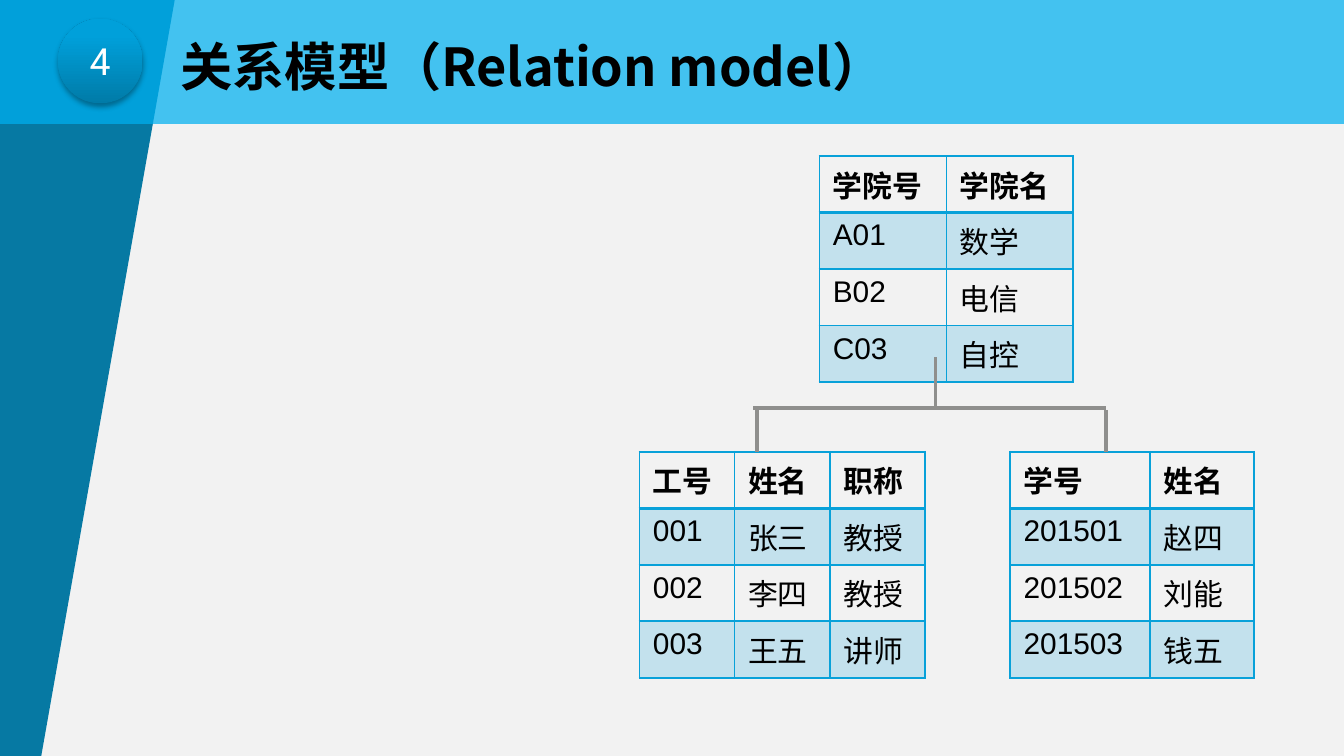
from lxml.etree import SubElement
from pptx import Presentation
from pptx.dml.color import RGBColor
from pptx.enum.shapes import MSO_CONNECTOR, MSO_SHAPE
from pptx.enum.text import MSO_ANCHOR, MSO_AUTO_SIZE, PP_ALIGN
from pptx.oxml import parse_xml
from pptx.oxml.ns import nsdecls, qn
from pptx.util import Pt

CJK = "Noto Sans CJK SC"


def paint(fill, color, props=None, alpha=100):
    fill.solid()
    fill.fore_color.rgb = RGBColor.from_string(color)
    if alpha < 100:
        clr = props.find(qn("a:solidFill")).find(qn("a:srgbClr"))
        SubElement(clr, qn("a:alpha"), val=str(alpha * 1000))


def write(p, text, font, size, color, bold=False):
    r = p.add_run()
    r.text = text
    p.font.name, p.font.size, p.font.bold = font, Pt(size), bold
    paint(p.font.fill, color)
    SubElement(r.font._element, qn("a:ea"), typeface=CJK)


prs = Presentation()
prs.slide_width, prs.slide_height = Pt(720), Pt(405)
s = prs.slides.add_slide(prs.slide_layouts[6])
paint(s.background.fill, "F2F2F2")

# Slanted side panel
fb = s.shapes.build_freeform(Pt(-0.7), Pt(407.5), scale=1.0)
fb.add_line_segments([(Pt(x), Pt(y)) for x, y in [(0, -0.7), (93.6, 0), (21.6, 408)]])
sp = fb.convert_to_shape()
sp.shadow.inherit = False
sp.line.fill.background()
paint(sp.fill, "0679A3")

# Translucent header band
sp = s.shapes.add_shape(MSO_SHAPE.RECTANGLE, Pt(-0.7), 0, Pt(720.7), Pt(66.4))
sp.shadow.inherit = False
sp.line.fill.background()
paint(sp.fill, "00B0F0", sp._element.spPr, 72)

# Tables: left, top, column widths, rows
tables = [
    (541.2, 242, [74.8, 55.8],
     ["学号 姓名", "201501 赵四", "201502 刘能", "201503 钱五"]),
    (342.6, 242, [51, 51, 51],
     ["工号 姓名 职称", "001 张三 教授", "002 李四 教授", "003 王五 讲师"]),
    (439, 83.5, [68, 68],
     ["学院号 学院名", "A01 数学", "B02 电信", "C03 自控"]),
]
for left, top, widths, rows in tables:
    table = s.shapes.add_table(len(rows), len(widths), Pt(left), Pt(top),
                               Pt(sum(widths)), Pt(106)).table
    table.first_row = table.horz_banding = False
    for col, width in zip(table.columns, widths):
        col.width = Pt(width)
    for i, row in enumerate(rows):
        for j, text in enumerate(row.split()):
            cell = table.cell(i, j)
            write(cell.text_frame.paragraphs[0], text, "Arial", 16, "000000", i == 0)
            # Borders, thicker under the header row
            tcPr = cell._tc.get_or_add_tcPr()
            for side in "LRTB":
                thick = (i, side) in [(0, "B"), (1, "T")]
                ln = SubElement(tcPr, qn("a:ln" + side), w=str(Pt(2 if thick else 1)))
                SubElement(SubElement(ln, qn("a:solidFill")), qn("a:srgbClr"), val="08A1D9")
            # Banding on odd rows
            if i % 2:
                paint(cell.fill, "08A1D9", tcPr, 20)
            else:
                cell.fill.background()

# Tree lines between the tables
for x1, y1, x2, y2 in [(501.2, 191.5, 501.2, 218.6), (405.4, 219.6, 405.4, 242),
                       (592.6, 219.6, 592.6, 242), (592.6, 218.6, 403.6, 218.6)]:
    c = s.shapes.add_connector(MSO_CONNECTOR.STRAIGHT, Pt(x1), Pt(y1), Pt(x2), Pt(y2))
    c.line.width = Pt(2)
    paint(c.line.fill, "8F8F8D")
    SubElement(c._element.spPr, qn("a:effectLst"))

# Title
tf = s.shapes.add_textbox(Pt(89.6), Pt(15), Pt(414), Pt(41)).text_frame
tf.word_wrap = True
tf.auto_size = MSO_AUTO_SIZE.SHAPE_TO_FIT_TEXT
write(tf.paragraphs[0], "关系模型（Relation model）", CJK, 28, "000000", True)

# Number badge with gradient and soft shadow
sp = s.shapes.add_shape(MSO_SHAPE.OVAL, Pt(31), Pt(10), Pt(45.4), Pt(45.4))
sp.line.fill.background()
sp.fill.gradient()
sp.fill.gradient_angle = 90
stops = sp._element.spPr.find(qn("a:gradFill")).find(qn("a:gsLst"))
for gs in list(stops):
    stops.remove(gs)
for pos, color in [(0, "007BA8"), (80, "00A0DA"), (100, "00A0DB")]:
    gs = SubElement(stops, qn("a:gs"), pos=str(pos * 1000))
    SubElement(gs, qn("a:srgbClr"), val=color)
sp.shadow.inherit = False
sp._element.spPr.find(qn("a:effectLst")).append(parse_xml(
    f'<a:outerShdw {nsdecls("a")} blurRad="{Pt(3.1)}" dist="{Pt(1.8)}" dir="5400000" '
    'rotWithShape="0"><a:srgbClr val="000000"><a:alpha val="35000"/></a:srgbClr>'
    '</a:outerShdw>'))
tf = sp.text_frame
tf.vertical_anchor = MSO_ANCHOR.MIDDLE
p = tf.paragraphs[0]
p.alignment = PP_ALIGN.CENTER
write(p, "4", "Roboto", 20, "FFFFFF")

prs.save("out.pptx")
